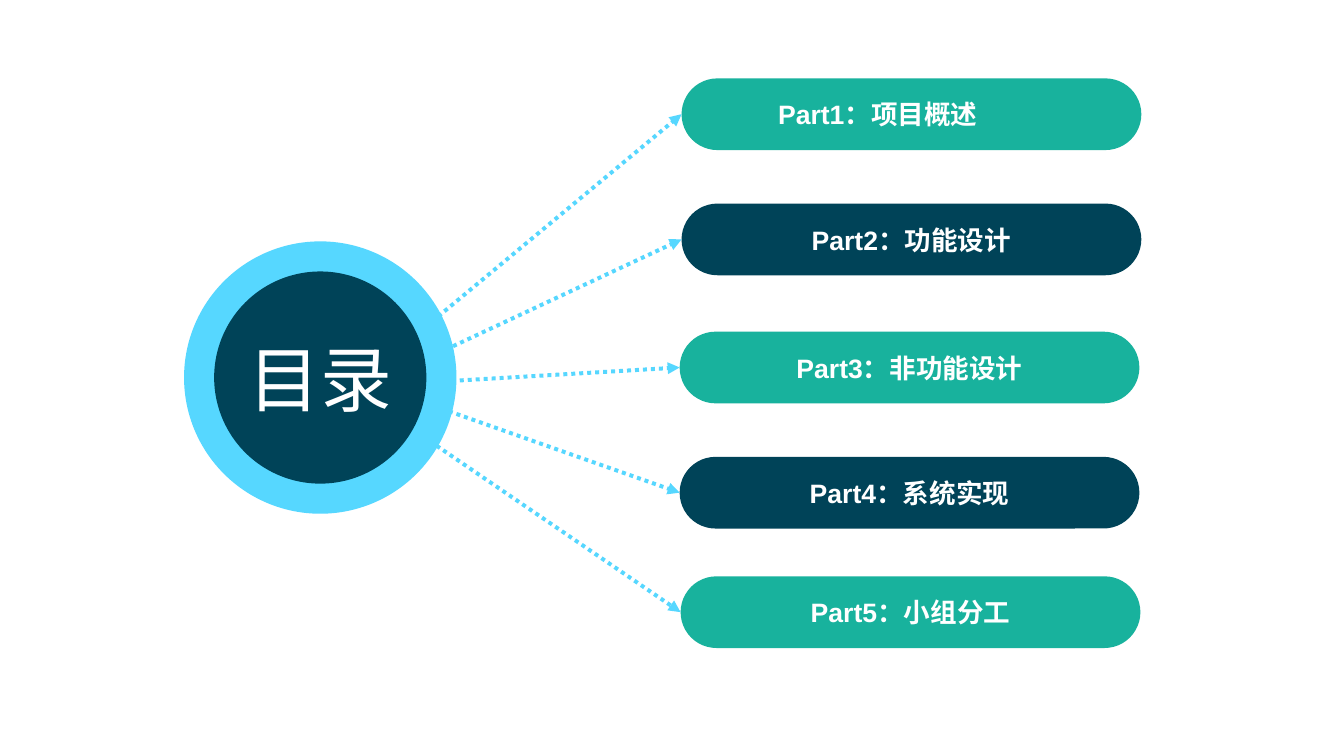
from dataclasses import dataclass

import pptx
import pptx.dml.color
import pptx.enum.dml
import pptx.enum.shapes
import pptx.enum.text
import pptx.oxml
import pptx.oxml.ns
import pptx.util
from pptx.util import Inches

TEAL, NAVY, SKY, WHITE = "18B29D", "004358", "56D7FF", "FFFFFF"
FONT = "Arial"
PILL_WIDTH, PILL_HEIGHT = 4.81, 0.75
HUB_X, HUB_Y = 3.35, 3.95
RING_SIZE, DISC_SIZE = 2.85, 2.22

ALIGN = pptx.enum.text.PP_ALIGN
SHAPE = pptx.enum.shapes.MSO_SHAPE


@dataclass(frozen=True)
class Part:
    text: str
    left: float
    top: float
    color: str
    arrow_start: tuple[float, float]
    align: ALIGN = ALIGN.CENTER
    indent: float = 0


PARTS = [
    Part("Part1：项目概述", 7.13, 0.82, TEAL, (4.2, 3.63), ALIGN.LEFT, 0.9),
    Part("Part2：功能设计", 7.13, 2.13, NAVY, (4.21, 3.87)),
    Part("Part3：非功能设计", 7.11, 3.47, TEAL, (4.31, 4.01)),
    Part("Part4：系统实现", 7.11, 4.78, NAVY, (4.46, 4.22)),
    Part("Part5：小组分工", 7.12, 6.03, TEAL, (4.43, 4.57)),
]


def rgb(color: str) -> pptx.dml.color.RGBColor:
    return pptx.dml.color.RGBColor.from_string(color)


def add_filled_shape(slide, kind, left: float, top: float, width: float, height: float, color: str):
    shape = slide.shapes.add_shape(kind, Inches(left), Inches(top), Inches(width), Inches(height))
    shape.shadow.inherit = False
    shape.fill.solid()
    shape.fill.fore_color.rgb = rgb(color)
    shape.line.fill.background()
    return shape


def write_text(shape, text: str, size: float, bold: bool, align=ALIGN.CENTER, indent: float = 0) -> None:
    frame = shape.text_frame
    frame.word_wrap = True
    frame.auto_size = pptx.enum.text.MSO_AUTO_SIZE.NONE
    frame.vertical_anchor = pptx.enum.text.MSO_ANCHOR.MIDDLE
    frame.margin_left = Inches(indent)
    frame.margin_top = frame.margin_right = frame.margin_bottom = 0
    paragraph = frame.paragraphs[0]
    paragraph.alignment = align
    run = paragraph.add_run()
    run.text = text
    run.font.name = FONT
    run.font.size = pptx.util.Pt(size)
    run.font.bold = bold
    run.font.color.rgb = rgb(WHITE)


def add_pill(slide, part: Part):
    pill = add_filled_shape(slide, SHAPE.ROUNDED_RECTANGLE, part.left, part.top,
                            PILL_WIDTH, PILL_HEIGHT, part.color)
    pill.adjustments[0] = 0.5
    write_text(pill, part.text, 20, True, part.align, part.indent)
    return pill


def add_dotted_arrow(slide, start: tuple[float, float], pill) -> None:
    x, y = map(Inches, start)
    arrow = slide.shapes.add_connector(pptx.enum.shapes.MSO_CONNECTOR.STRAIGHT, x, y, x, y)
    arrow.end_connect(pill, 1)
    arrow.line.color.rgb = rgb(SKY)
    arrow.line.width = pptx.util.Pt(3)
    arrow.line.dash_style = pptx.enum.dml.MSO_LINE.ROUND_DOT
    namespace = pptx.oxml.ns.nsdecls("a")
    arrow.line._get_or_add_ln().append(
        pptx.oxml.parse_xml(f'<a:tailEnd {namespace} type="triangle"/>'))
    arrow._element.spPr.append(pptx.oxml.parse_xml(f"<a:effectLst {namespace}/>"))


def add_hub_circle(slide, size: float, color: str):
    return add_filled_shape(slide, SHAPE.OVAL, HUB_X - size / 2, HUB_Y - size / 2, size, size, color)


def place_title(slide, disc) -> None:
    """Lay the title over the disc, in front of everything else."""
    title = slide.shapes.title
    title.left, title.top, title.width, title.height = disc.left, disc.top, disc.width, disc.height
    write_text(title, "目录", 54, False)
    slide.shapes._spTree.append(title._element)


def main() -> None:
    presentation = pptx.Presentation()
    presentation.slide_width = Inches(14.06)
    presentation.slide_height = Inches(7.91)
    slide = presentation.slides.add_slide(presentation.slide_layouts[5])

    for part in PARTS:
        pill = add_pill(slide, part)
        add_dotted_arrow(slide, part.arrow_start, pill)
    add_hub_circle(slide, RING_SIZE, SKY)
    disc = add_hub_circle(slide, DISC_SIZE, NAVY)
    place_title(slide, disc)

    presentation.save("out.pptx")


if __name__ == "__main__":
    main()
